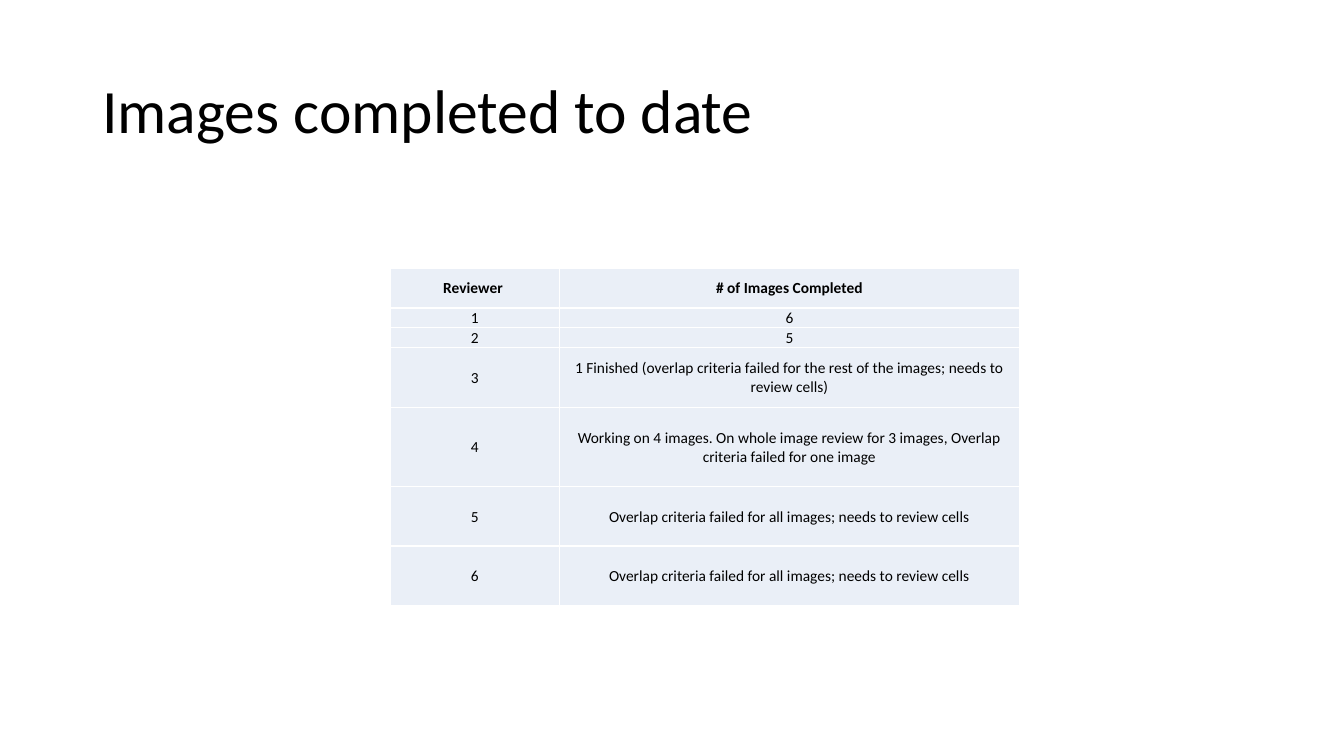
from lxml import etree
from pptx import Presentation
from pptx.dml.color import RGBColor
from pptx.enum.text import MSO_ANCHOR, PP_ALIGN
from pptx.oxml import parse_xml
from pptx.oxml.ns import nsdecls
from pptx.util import Cm, Pt

BLACK = RGBColor(0x00, 0x00, 0x00)
WHITE = RGBColor(0xFF, 0xFF, 0xFF)
PALE_BLUE = RGBColor(0xEA, 0xEF, 0xF7)
FONT = "Calibri"
COLUMN_WIDTHS = [4.27, 11.59]
REVIEW_ROWS = [
    (1, "Reviewer ", "# of Images Completed"),
    (0.5, "1", "6"),
    (0.5, "2", "5"),
    (1.5, "3", "1 Finished (overlap criteria failed for the rest of the images; "
               "needs to review cells)"),
    (2, "4", "Working on 4 images. On whole image review for 3 images, "
             "Overlap criteria failed for one image"),
    (1.5, "5", "Overlap criteria failed for all images; needs to review cells"),
    (1.5, "6", "Overlap criteria failed for all images; needs to review cells"),
]


def add_span(para, text, size, bold=False):
    span = para.add_run()
    span.text = text
    span.font.name = FONT
    span.font.size = Pt(size)
    span.font.bold = bold
    span.font.color.rgb = BLACK


def add_borders(cell):
    properties = cell._tc.get_or_add_tcPr()
    for position, side in enumerate(("lnL", "lnR", "lnT", "lnB")):
        properties.insert(position, parse_xml(
            f'<a:{side} {nsdecls("a")} w="{Pt(1)}"><a:solidFill>'
            f'<a:srgbClr val="{WHITE}"/></a:solidFill></a:{side}>'))


deck = Presentation()
deck.slide_width = Cm(33.87)
deck.slide_height = Cm(19.05)
page = deck.slides.add_slide(deck.slide_layouts[6])

title_box = page.shapes.add_textbox(Cm(2.33), Cm(1.01), Cm(29.21), Cm(3.68))
title_frame = title_box.text_frame
title_frame.word_wrap = True
title_frame.vertical_anchor = MSO_ANCHOR.MIDDLE
title_para = title_frame.paragraphs[0]
title_para.line_spacing = 0.9
add_span(title_para, "Images completed to date", 44)

table_height = sum(row[0] for row in REVIEW_ROWS)
table = page.shapes.add_table(
    len(REVIEW_ROWS), len(COLUMN_WIDTHS), Cm(9.83), Cm(6.76),
    Cm(sum(COLUMN_WIDTHS)), Cm(table_height)).table
table.horz_banding = False
for column, width in zip(table.columns, COLUMN_WIDTHS):
    column.width = Cm(width)

for row_number, (height, *texts) in enumerate(REVIEW_ROWS):
    table.rows[row_number].height = Cm(height)
    for column_number, text in enumerate(texts):
        cell = table.cell(row_number, column_number)
        cell.fill.solid()
        cell.fill.fore_color.rgb = PALE_BLUE
        cell.vertical_anchor = MSO_ANCHOR.MIDDLE
        cell.margin_left = cell.margin_right = cell.margin_top = Cm(0.02)
        cell.margin_bottom = Cm(0)
        add_borders(cell)
        para = cell.text_frame.paragraphs[0]
        para.alignment = PP_ALIGN.CENTER
        add_span(para, text, 11, bold=row_number == 0)

deck.save("out.pptx")
